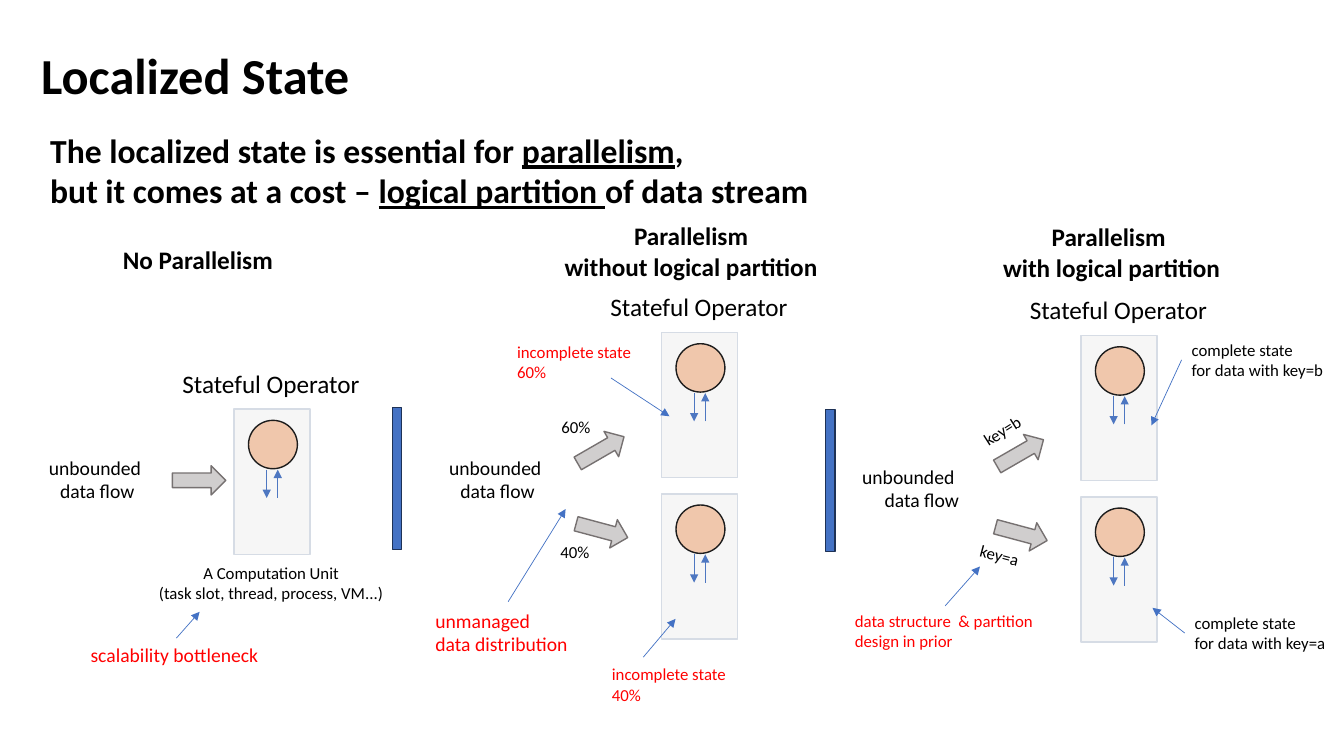
from dataclasses import dataclass
from typing import Optional

from lxml.etree import SubElement
from pptx import Presentation
from pptx.dml.color import RGBColor
from pptx.enum.shapes import MSO_CONNECTOR as Link, MSO_SHAPE as Kind
from pptx.enum.text import MSO_AUTO_SIZE as Fit, PP_ALIGN as Align
from pptx.oxml.ns import qn
from pptx.util import Inches, Pt

COLS, ROWS = 133.3, 75
CELL = Inches(0.1)
BLACK, RED, BLUE = "000000", "FF0000", "4472C4"
FLOW = "unbounded \ndata flow"


@dataclass
class Tip:
    """An arrow from the middle of a note's side to a grid point."""
    side: int
    col: float
    row: float


@dataclass
class Note:
    """A text placed on the grid; underscores enclose underlined words."""
    text: str
    col: float
    row: float
    wide: float
    high: float
    size: float = 12
    color: str = BLACK
    bold: bool = False
    align: Align = Align.LEFT
    turn: float = 0
    wrap: bool = False
    tip: Optional[Tip] = None


@dataclass
class Box:
    """A preset shape placed on the grid."""
    kind: Kind
    col: float
    row: float
    wide: float
    high: float
    fill: str
    edge: str
    turn: float = 0
    alpha: int = 100


@dataclass
class Line:
    """A thin arrow between two grid points."""
    col: float
    row: float
    to_col: float
    to_row: float


def grid(count: float) -> int:
    """Turn a count of grid cells into a length."""
    return round(count * CELL)


def rgb(code: str) -> RGBColor:
    """Turn a hex string into a colour."""
    return RGBColor.from_string(code)


def draw_box(shapes, box: Box) -> None:
    """Draw a preset shape."""
    shape = shapes.add_shape(box.kind, *map(grid, (box.col, box.row, box.wide, box.high)))
    shape.shadow.inherit = False
    shape.rotation = box.turn
    shape.fill.solid()
    shape.fill.fore_color.rgb = rgb(box.fill)
    shape.line.color.rgb = rgb(box.edge)
    shape.line.width = Pt(1)
    if box.alpha < 100:
        tint = shape.element.spPr.find(f"{qn('a:solidFill')}/{qn('a:srgbClr')}")
        SubElement(tint, qn("a:alpha"), val=str(box.alpha * 1000))


def draw_line(shapes, line: Line):
    """Draw a thin arrow and return it."""
    ends = map(grid, (line.col, line.row, line.to_col, line.to_row))
    wire = shapes.add_connector(Link.STRAIGHT, *ends)
    wire.line.color.rgb = rgb(BLUE)
    wire.line.width = Pt(0.5)
    SubElement(wire.line._get_or_add_ln(), qn("a:tailEnd"), type="triangle")
    SubElement(wire._element.spPr, qn("a:effectLst"))
    return wire


def draw_note(shapes, note: Note) -> None:
    """Draw a text and the arrow that leaves it."""
    box = shapes.add_textbox(*map(grid, (note.col, note.row, note.wide, note.high)))
    box.rotation = note.turn
    frame = box.text_frame
    frame.word_wrap = note.wrap
    frame.auto_size = Fit.SHAPE_TO_FIT_TEXT
    for at, words in enumerate(note.text.split("\n")):
        para = frame.add_paragraph() if at else frame.paragraphs[0]
        para.alignment = note.align
        para.font.name = "Calibri"
        para.font.size = Pt(note.size)
        para.font.bold = note.bold
        para.font.color.rgb = rgb(note.color)
        if "_" not in words:
            para.text = words
            continue
        for turn, part in enumerate(words.split("_")):
            run = para.add_run()
            run.text = part
            run.font.underline = turn % 2 == 1
    if note.tip:
        tip = note.tip
        wire = draw_line(shapes, Line(note.col, note.row, tip.col, tip.row))
        wire.begin_connect(box, tip.side)


def draw_unit(shapes, col: float, row: float) -> None:
    """Draw a computation unit with its state and the two state arrows."""
    draw_box(shapes, Box(Kind.OVAL, col + 1.45, row + 1.1, 4.85, 4.8, "F8CBAD", "0D0D0D"))
    draw_line(shapes, Line(col + 3.25, row + 6, col + 3.25, row + 8.8))
    draw_line(shapes, Line(col + 4.35, row + 8.8, col + 4.35, row + 6))
    draw_box(shapes, Box(Kind.RECTANGLE, col, row, 7.55, 14.4, "AFABAB", "D6DCE5", alpha=10))


def draw_flow(shapes, col: float, row: float, turn: float = 0) -> None:
    """Draw a block arrow for the data flow."""
    draw_box(shapes, Box(Kind.RIGHT_ARROW, col, row, 5.3, 2.9, "D0CECE", "767171", turn))


def draw_pair(shapes, col: float, row: float) -> None:
    """Draw two parallel units fed by a split flow."""
    for step in (0, 16):
        draw_unit(shapes, col, row + step)
    draw_flow(shapes, col - 8.65, row + 10.2, 330)
    draw_flow(shapes, col - 8.55, row + 18.2, 15)
    draw_note(shapes, Note("Stateful Operator", col - 6.05, row - 4.55, 19.8, 4, 18))


NOTES = [
    Note("Localized State", 3.1, 3.9, 123.3, 7.1, 36, bold=True, wrap=True),
    Note("The localized state is essential for _parallelism_,\n"
         "but it comes at a cost – _logical partition _of data stream",
         4, 12.4, 121.4, 9.1, 24, bold=True, wrap=True),
    Note("No Parallelism", 11.2, 23.7, 17.1, 4, 18, bold=True),
    Note("Parallelism\nwithout logical partition", 54.9, 21.4, 27.3, 7.1, 18,
         bold=True, align=Align.CENTER),
    Note("Parallelism \nwith logical partition", 98.4, 21.5, 23.7, 7.1, 18,
         bold=True, align=Align.CENTER),
    Note("Stateful Operator", 17.1, 36.1, 19.9, 4, 18),
    Note(FLOW, 3.8, 44.7, 11.7, 5.7, 14, align=Align.CENTER),
    Note(FLOW, 43.5, 44.7, 11.7, 5.7, 14, align=Align.CENTER),
    Note(FLOW, 83, 45.6, 13.1, 5.7, 14, align=Align.RIGHT, wrap=True),
    Note("A Computation Unit\n(task slot, thread, process, VM...)",
         14.6, 55.3, 24.6, 5, align=Align.CENTER),
    Note("scalability bottleneck", 8, 63.3, 19, 3.4, 14, RED, tip=Tip(0, 19.8, 60.7)),
    Note("unmanaged\ndata distribution", 42.2, 59.9, 15.3, 5.7, 14, RED),
    Note("60%", 54.7, 40.9, 4.9, 3),
    Note("40%", 54.6, 53.3, 4.9, 3),
    Note("incomplete state\v60%", 50.3, 33.4, 13.5, 5, color=RED),
    Note("incomplete state\v40%", 59.7, 65.4, 13.5, 5, color=RED),
    Note("key=b", 96.4, 41.2, 6, 3, turn=327.6),
    Note("key=a", 96.2, 53.6, 6, 3, turn=15),
    Note("complete state\nfor data with key=b", 117.2, 33.2, 15.2, 5, tip=Tip(1, 114.2, 42.2)),
    Note("complete state\nfor data with key=a", 117.5, 60.3, 15.1, 5, tip=Tip(1, 114.3, 60.3)),
    Note("data structure  & partition\ndesign in prior", 83.8, 60.1, 19.9, 5,
         color=RED, tip=Tip(0, 97.2, 56.2)),
]
LINES = [
    Line(60.6, 37.5, 66.4, 41.3),
    Line(63.8, 65.2, 67, 61.4),
    Line(50.4, 59.7, 56.1, 50.5),
]
BARS = [
    Box(Kind.RECTANGLE, col, row, 0.9, 14.1, BLUE, "1E3256")
    for col, row in ((38.9, 40.4), (81.9, 40.6))
]


def main() -> None:
    """Build the slide and save it."""
    deck = Presentation()
    deck.slide_width, deck.slide_height = grid(COLS), grid(ROWS)
    shapes = deck.slides.add_slide(deck.slide_layouts[6]).shapes
    draw_unit(shapes, 23.2, 40.6)
    draw_flow(shapes, 17.1, 46.2)
    for col, row in ((65.6, 33), (107.2, 33.3)):
        draw_pair(shapes, col, row)
    for bar in BARS:
        draw_box(shapes, bar)
    for note in NOTES:
        draw_note(shapes, note)
    for line in LINES:
        draw_line(shapes, line)
    deck.save("out.pptx")


if __name__ == "__main__":
    main()
